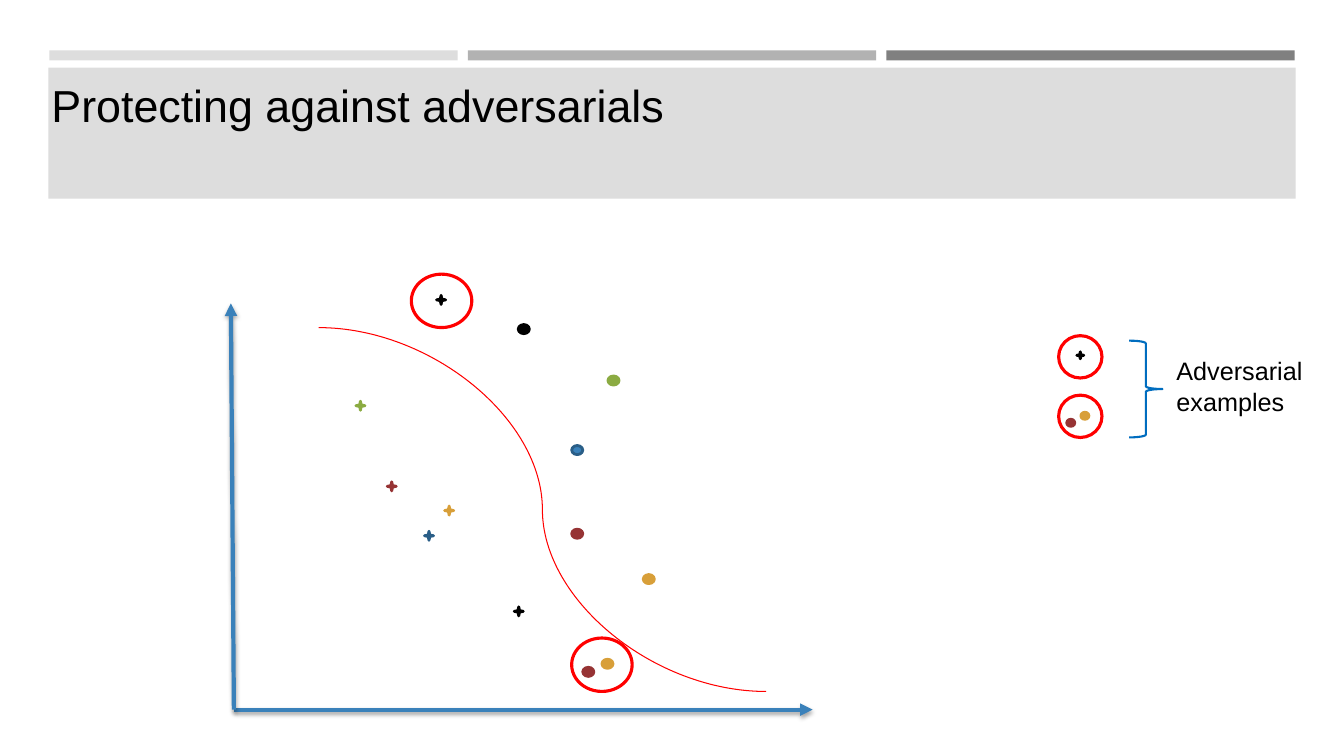
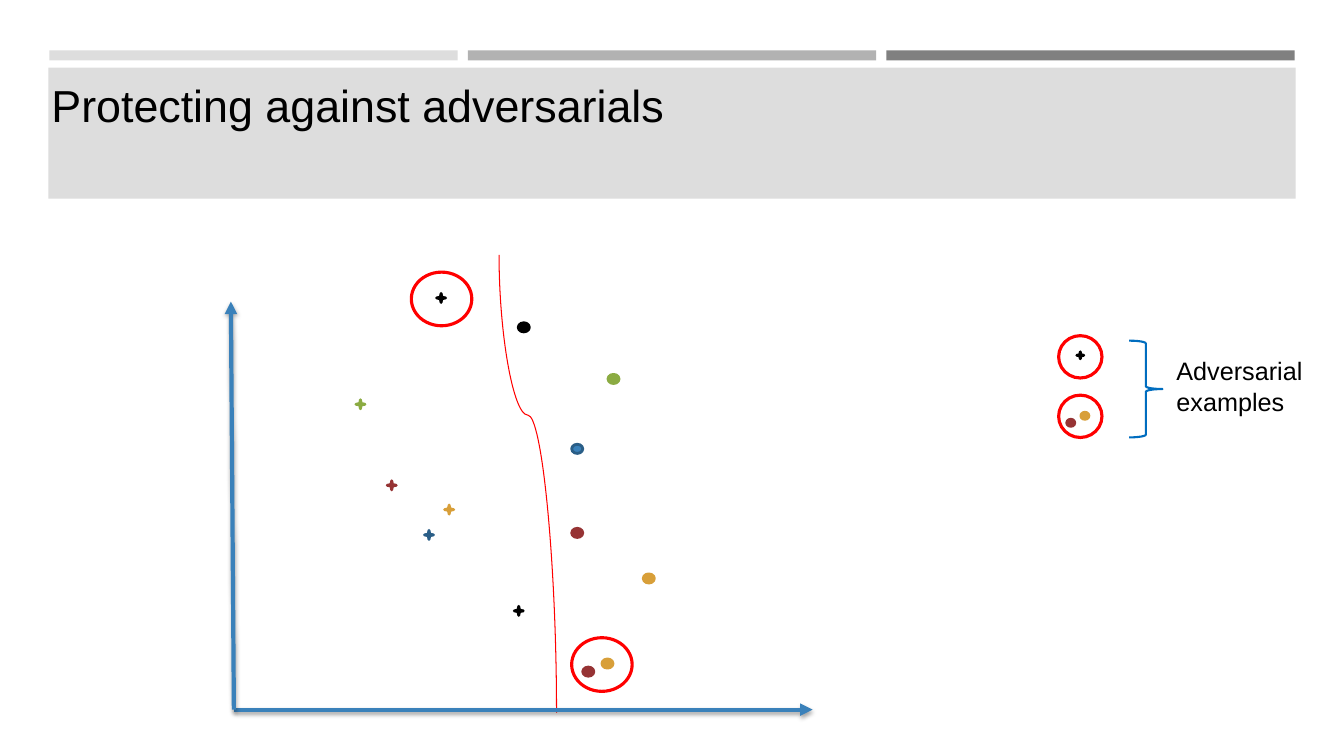
from dataclasses import dataclass

from lxml import etree
from pptx import Presentation
from pptx import util as u
from pptx.dml.color import RGBColor
from pptx.enum import shapes, text
from pptx.oxml.ns import qn

KIND = shapes.MSO_SHAPE
LINK = shapes.MSO_CONNECTOR


@dataclass(frozen=True)
class Theme:
    font: str = "Arial"
    head: int = 32
    body: int = 18
    ink: str = "000000"
    pale: str = "DDDDDD"
    mid: str = "B2B2B2"
    dark: str = "808080"
    red: str = "FF0000"
    blue: str = "3A81BA"
    navy: str = "2A5E87"
    wine: str = "963334"
    gold: str = "D89F39"
    green: str = "8BAB42"
    brace: str = "006DBF"
    hair: float = 0.75
    thin: float = 1.5
    edge: float = 2
    ring: float = 2.25
    axis: float = 3


T = Theme()


class Grid:
    def __init__(self, left, top, width, height, cols, rows):
        self.left, self.top = left, top
        self.col, self.row = width / cols, height / rows

    def point(self, x, y):
        return u.Inches(self.left + x * self.col), u.Inches(self.top + y * self.row)

    def box(self, x, y, w, h):
        return *self.point(x, y), u.Inches(w * self.col), u.Inches(h * self.row)


def rgb(tone):
    return RGBColor.from_string(tone)


def draw(slide, kind, box, fill=None, line=None, width=T.edge):
    shape = slide.shapes.add_shape(kind, *box)
    shape.shadow.inherit = False
    if fill:
        shape.fill.solid()
        shape.fill.fore_color.rgb = rgb(fill)
    else:
        shape.fill.background()
    if line:
        shape.line.color.rgb = rgb(line)
        shape.line.width = u.Pt(width)
    else:
        shape.line.fill.background()
    return shape


def star(slide, grid, x, y, line, fill=T.blue, size=9):
    draw(slide, KIND.STAR_4_POINT, grid.box(x, y, size, size), fill, line)


def dot(slide, grid, x, y, line, fill=None, w=11, h=9):
    draw(slide, KIND.FLOWCHART_CONNECTOR, grid.box(x, y, w, h), fill or line, line)


def ring(slide, grid, x, y, w=60, h=53):
    draw(slide, KIND.OVAL, grid.box(x, y, w, h), None, T.red, T.ring)


def link(slide, kind, start, end, tone, width):
    line = slide.shapes.add_connector(kind, *start, *end)
    line.line.color.rgb = rgb(tone)
    line.line.width = u.Pt(width)
    prop = line._element.spPr
    return prop, etree.SubElement(prop, qn("a:effectLst"))


def axis(slide, start, end):
    prop, fx = link(slide, LINK.STRAIGHT, start, end, T.blue, T.axis)
    etree.SubElement(prop.find(qn("a:ln")), qn("a:tailEnd"), type="triangle")
    shade = etree.SubElement(fx, qn("a:outerShdw"), blurRad=str(u.Pt(3.1)),
                             dist=str(u.Pt(1.8)), dir="5400000", rotWithShape="0")
    tone = etree.SubElement(shade, qn("a:srgbClr"), val=T.ink)
    etree.SubElement(tone, qn("a:alpha"), val="35000")


def curve(slide, start, end, bend, steep):
    if steep:
        (x1, y1), (x2, y2) = start, end
        mx, my = (x1 + x2) // 2, (y1 + y2) // 2
        dx, dy = (y2 - y1) // 2, (x2 - x1) // 2
        start, end = (mx + dx, my - dy), (mx - dx, my + dy)
    prop, _ = link(slide, LINK.CURVE, start, end, T.red, T.hair)
    if steep:
        prop.find(qn("a:xfrm")).set("rot", "16200000")
    geom = prop.find(qn("a:prstGeom"))
    vals = geom.find(qn("a:avLst"))
    if vals is None:
        vals = etree.SubElement(geom, qn("a:avLst"))
    etree.SubElement(vals, qn("a:gd"), name="adj1", fmla=f"val {round(bend * 100000)}")


def style(frame, size):
    for para in frame.paragraphs:
        for run in para.runs:
            run.font.name = T.font
            run.font.size = u.Pt(size)
            run.font.color.rgb = rgb(T.ink)


def bands(slide, layout):
    grid = Grid(0.49, 0.5, 12.35, 1.47, 1235, 147)
    parts = [((i * 415, 0, 405, 10), tone)
             for i, tone in enumerate((T.pale, T.mid, T.dark))]
    parts.append(((-1, 17, 1237, 130), T.pale))
    for i, (box, tone) in enumerate(parts):
        band = draw(slide, KIND.RECTANGLE, grid.box(*box), tone)
        band._element.nvSpPr.cNvPr.set("id", str(20 + i))
        layout.shapes._spTree.append(band._element)


def title(slide, words):
    head = slide.shapes.title
    head.left, head.top, head.width, head.height = map(u.Inches, (0.5, 0.75, 10.65, 0.55))
    frame = head.text_frame
    frame.text = words
    frame.word_wrap = True
    frame.auto_size = text.MSO_AUTO_SIZE.NONE
    frame.vertical_anchor = text.MSO_ANCHOR.TOP
    frame.margin_left, frame.margin_top = u.Inches(0.01), u.Inches(0.02)
    frame.margin_right = frame.margin_bottom = 0
    frame.paragraphs[0].alignment = text.PP_ALIGN.LEFT
    style(frame, T.head)


def plot(slide, box, start, end, bend=0.5, steep=False):
    grid = Grid(*box, 577, 432)
    curve(slide, grid.point(*start), grid.point(*end), bend, steep)
    for x, y, tone in ((155, 206, T.wine), (281, 330, T.ink), (212, 230, T.gold),
                       (192, 255, T.navy), (204, 21, T.ink)):
        star(slide, grid, x, y, tone)
    star(slide, grid, 124, 126, T.green, T.green)
    dot(slide, grid, 338, 170, T.navy, T.blue)
    for x, y, tone in ((338, 253, T.wine), (285, 50, T.ink), (409, 298, T.gold),
                       (374, 101, T.green), (349, 390, T.wine), (368, 382, T.gold)):
        dot(slide, grid, x, y, tone)
    for tip in ((577, 432), (0, 29)):
        axis(slide, grid.point(3, 432), grid.point(*tip))
    for x, y in ((338, 361), (179, 0)):
        ring(slide, grid, x, y)


def legend(slide, box):
    grid = Grid(*box, 270, 101)
    star(slide, grid, 18, 16, T.ink, size=7)
    for x, y, tone in ((8, 83, T.wine), (22, 76, T.gold)):
        dot(slide, grid, x, y, tone, w=8, h=7)
    for y in (0, 59):
        ring(slide, grid, 0, y, 43, 42)
    draw(slide, KIND.RIGHT_BRACE, grid.box(70, 5, 33, 96), None, T.brace, T.thin)
    frame = slide.shapes.add_textbox(*grid.box(107, 15, 163, 71)).text_frame
    frame.word_wrap = True
    frame.text = "Adversarial\nexamples"
    style(frame, T.body)


def main():
    deck = Presentation()
    deck.slide_width, deck.slide_height = u.Inches(13.33), u.Inches(7.5)
    layout = deck.slide_layouts[5]
    plots = (
        ((2.29, 2.72, 5.77, 4.32), (87, 53), (531, 414)),
        ((2.29, 2.7, 5.77, 4.34), (266, -17), (323, 435), 0.35, True),
    )
    for i, spec in enumerate(plots):
        slide = deck.slides.add_slide(layout)
        if i == 0:
            bands(slide, layout)
        title(slide, "Protecting against adversarials")
        plot(slide, *spec)
        legend(slide, (10.5, 3.33, 2.7, 1.01))
    deck.save("out.pptx")


if __name__ == "__main__":
    main()
